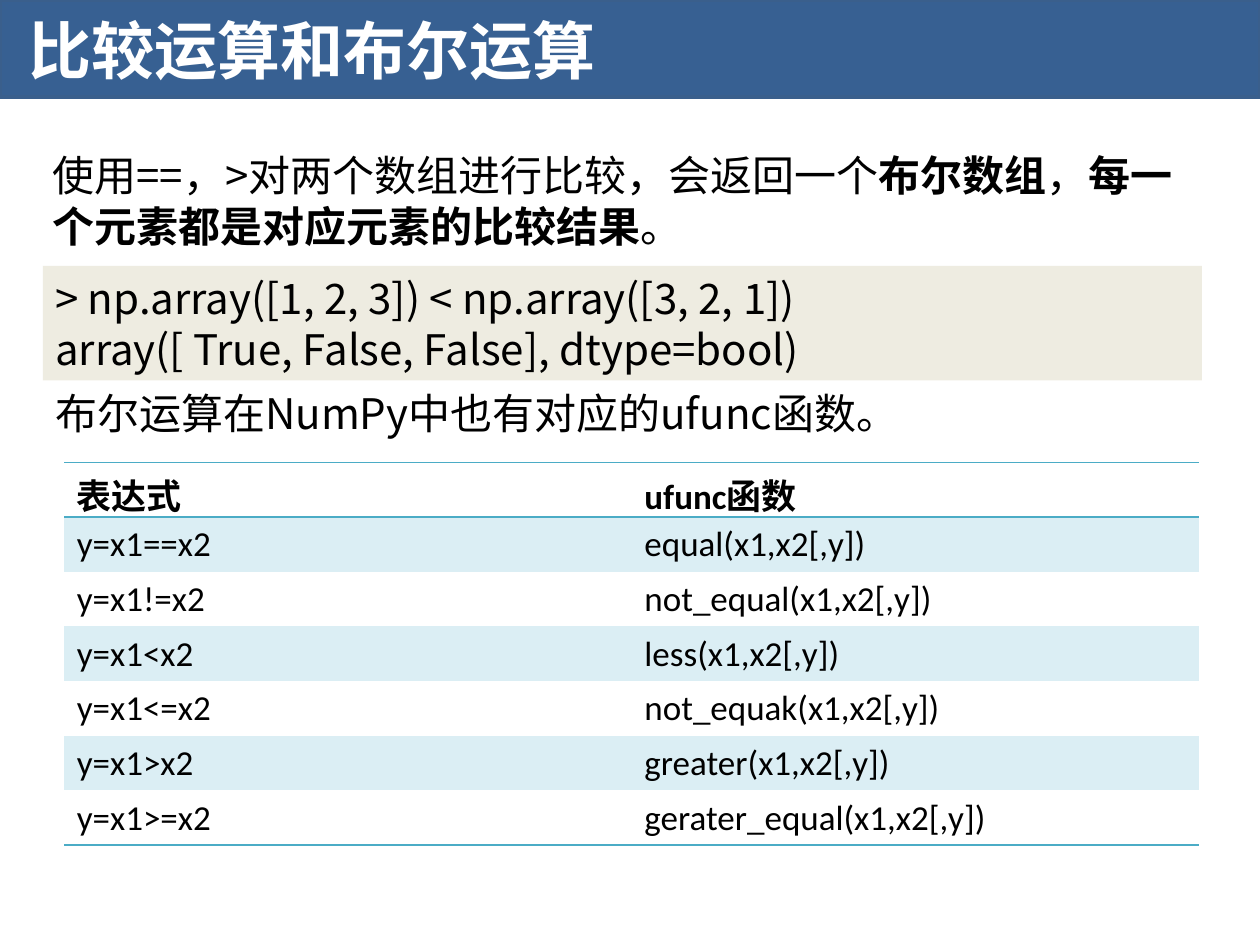
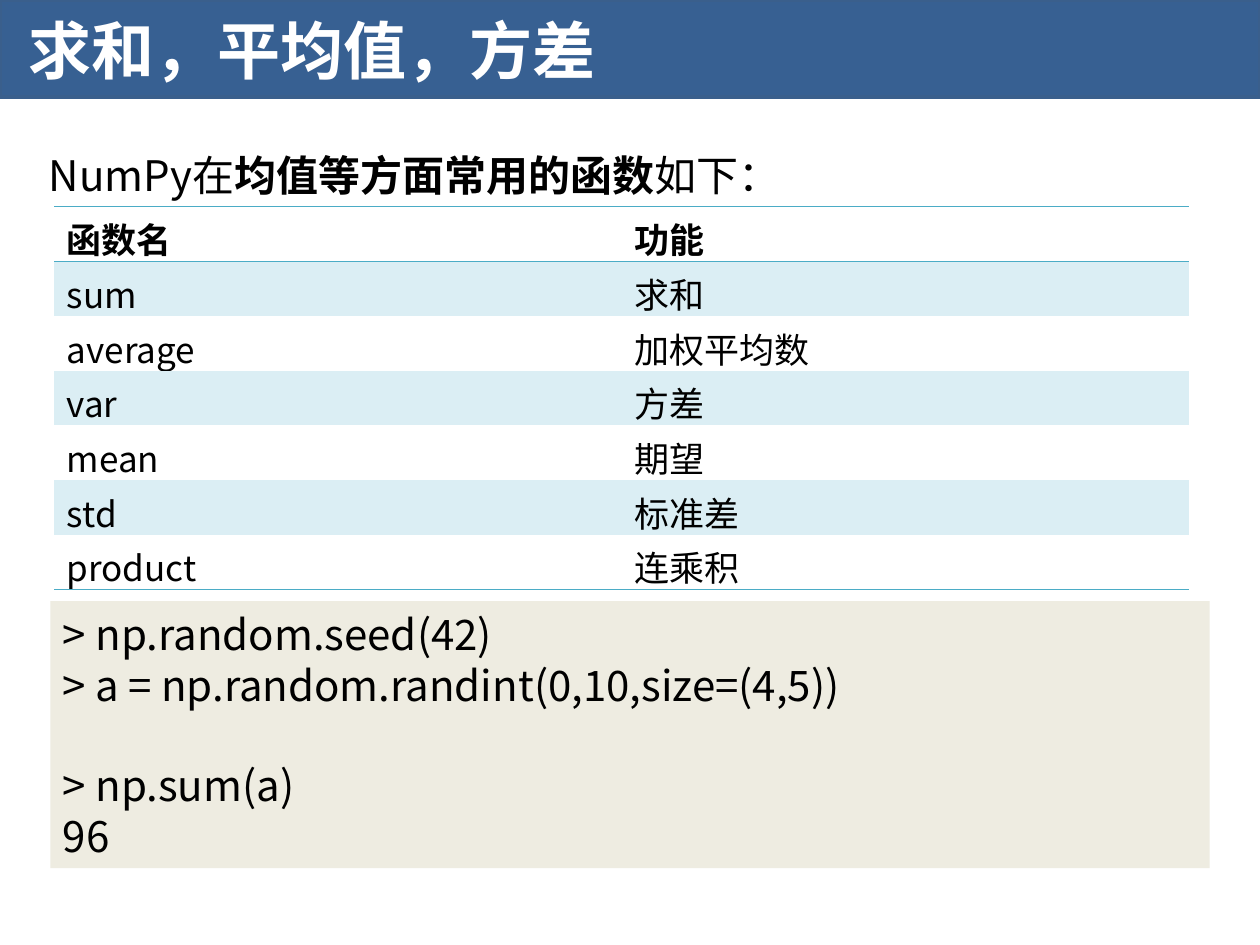
from lxml import etree
from pptx import Presentation
from pptx.dml.color import RGBColor
from pptx.enum.shapes import MSO_SHAPE
from pptx.enum.text import MSO_ANCHOR, MSO_AUTO_SIZE, PP_ALIGN
from pptx.oxml.ns import qn
from pptx.util import Inches, Pt

RECT = MSO_SHAPE.RECTANGLE
MIDDLE = MSO_ANCHOR.MIDDLE
LEFT = PP_ALIGN.LEFT
NO_FIT = MSO_AUTO_SIZE.NONE

SANS = "Noto Sans CJK SC"
LATIN = "Calibri"
PLAIN_STYLE = "{2D5ABB26-0587-4C30-8999-92F81FD0307C}"
COLORS = {"band": "376092", "edge": "3A5F8C", "code": "EEECE1",
          "rule": "4BACC6", "stripe": "DBEEF4", "text": "000000", "white": "FFFFFF"}

WIDE = 9.2
LINE = 28.8  # height of one 24 pt line, in points
TABLE_W, ROW_H = 9.01, 0.433

# A text is a list of (words, bold); code is a list of blocks with a gap between.
SLIDES = [
    {
        "title": "比较运算和布尔运算",
        "texts": [
            ((0.32, 1.14, 0.91), [("使用==，>对两个数组进行比较，会返回一个", False),
                                  ("布尔数组", True), ("，", False),
                                  ("每一个元素都是对应元素的比较结果", True), ("。", False)]),
            ((0.34, 3.03, 0.5), [("布尔运算在NumPy中也有对应的ufunc函数。", False)]),
        ],
        "code": ((0.34, 2.11, 0.91), [["> np.array([1, 2, 3]) < np.array([3, 2, 1])",
                                       "array([ True, False, False], dtype=bool)"]]),
        "table": ((0.51, 3.67), LATIN, [
            ("表达式", "ufunc函数"),
            ("y=x1==x2", "equal(x1,x2[,y])"),
            ("y=x1!=x2", "not_equal(x1,x2[,y])"),
            ("y=x1<x2", "less(x1,x2[,y])"),
            ("y=x1<=x2", "not_equak(x1,x2[,y])"),
            ("y=x1>x2", "greater(x1,x2[,y])"),
            ("y=x1>=x2", "gerater_equal(x1,x2[,y])"),
        ]),
    },
    {
        "title": "求和，平均值，方差",
        "texts": [
            ((0.29, 1.14, 0.5), [("NumPy在", False), ("均值等方面常用的函数", True),
                                 ("如下：", False)]),
        ],
        "code": ((0.4, 4.77, 2.12), [["> np.random.seed(42)",
                                      "> a = np.random.randint(0,10,size=(4,5))"],
                                     ["> np.sum(a)", "96"]]),
        "table": ((0.43, 1.64), SANS, [
            ("函数名", "功能"),
            ("sum", "求和"),
            ("average", "加权平均数"),
            ("var", "方差"),
            ("mean", "期望"),
            ("std", "标准差"),
            ("product", "连乘积"),
        ]),
    },
]


def rgb(key):
    return RGBColor.from_string(COLORS[key])


def style(para, size, color="text", face=SANS, bold=False):
    para.alignment = LEFT
    font = para.font
    font.name, font.size, font.bold = face, Pt(size), bold
    font.color.rgb = rgb(color)
    props = para._p.pPr.find(qn("a:defRPr"))
    east = etree.Element(qn("a:ea"), typeface=SANS)
    props.find(qn("a:latin")).addnext(east)


def add_rect(slide, box, fill):
    rect = slide.shapes.add_shape(RECT, *map(Inches, box))
    rect.shadow.inherit = False
    rect.fill.solid()
    rect.fill.fore_color.rgb = rgb(fill)
    rect.line.fill.background()
    return rect


def add_title(slide, words):
    band = add_rect(slide, (0, 0, 10, 0.77), "band")
    band.line.color.rgb = rgb("edge")
    band.line.width = Pt(2)
    title = slide.shapes.title
    title._element.addprevious(band._element)
    title.left, title.top, title.width, title.height = map(Inches, (0.13, 0.04, 6.76, 0.71))
    frame = title.text_frame
    frame.text = words
    frame.auto_size = NO_FIT
    frame.vertical_anchor = MIDDLE
    style(frame.paragraphs[0], 36, "white", bold=True)


def add_text(slide, place, runs):
    left, top, height = place
    box = slide.shapes.add_textbox(*map(Inches, (left, top, WIDE, height)))
    box.text_frame.word_wrap = True
    para = box.text_frame.paragraphs[0]
    style(para, 24)
    for words, bold in runs:
        run = para.add_run()
        run.text = words
        run.font.bold = bold


def add_code(slide, place, blocks):
    left, top, height = place
    frame = add_rect(slide, (left, top, WIDE, height), "code").text_frame
    frame.word_wrap = True
    frame.vertical_anchor = MIDDLE
    frame.text = "\n".join(line for block in blocks for line in block)
    for para in frame.paragraphs:
        style(para, 24)
    start = 0
    for block in blocks[:-1]:
        start += len(block)
        frame.paragraphs[start].space_before = Pt(LINE)


def add_rule(cell, side):
    """Draw the top (T) or bottom (B) border of a cell."""
    rule = etree.Element(qn("a:ln" + side), w=str(Pt(1)))
    fill = etree.SubElement(rule, qn("a:solidFill"))
    etree.SubElement(fill, qn("a:srgbClr"), val=COLORS["rule"])
    props = cell._tc.get_or_add_tcPr()
    props.insert(len(props) - 1, rule)  # borders come before the fill


def add_table(slide, place, face, rows):
    last = len(rows) - 1
    size = (TABLE_W, ROW_H * len(rows))
    table = slide.shapes.add_table(len(rows), len(rows[0]), *map(Inches, place + size)).table
    table._tbl.tblPr.find(qn("a:tableStyleId")).text = PLAIN_STYLE
    for r, row in enumerate(rows):
        for c, words in enumerate(row):
            cell = table.cell(r, c)
            cell.text = words
            style(cell.text_frame.paragraphs[0], 20, face=face, bold=r == 0)
            if r % 2:
                cell.fill.solid()
                cell.fill.fore_color.rgb = rgb("stripe")
            else:
                cell.fill.background()
            if r == 0:
                add_rule(cell, "T")
            if r in (0, last):
                add_rule(cell, "B")


def main():
    deck = Presentation()
    deck.slide_width, deck.slide_height = Inches(10), Inches(7.5)
    for item in SLIDES:
        slide = deck.slides.add_slide(deck.slide_layouts[5])
        add_title(slide, item["title"])
        for text in item["texts"]:
            add_text(slide, *text)
        add_code(slide, *item["code"])
        add_table(slide, *item["table"])
    deck.save("out.pptx")


if __name__ == "__main__":
    main()
